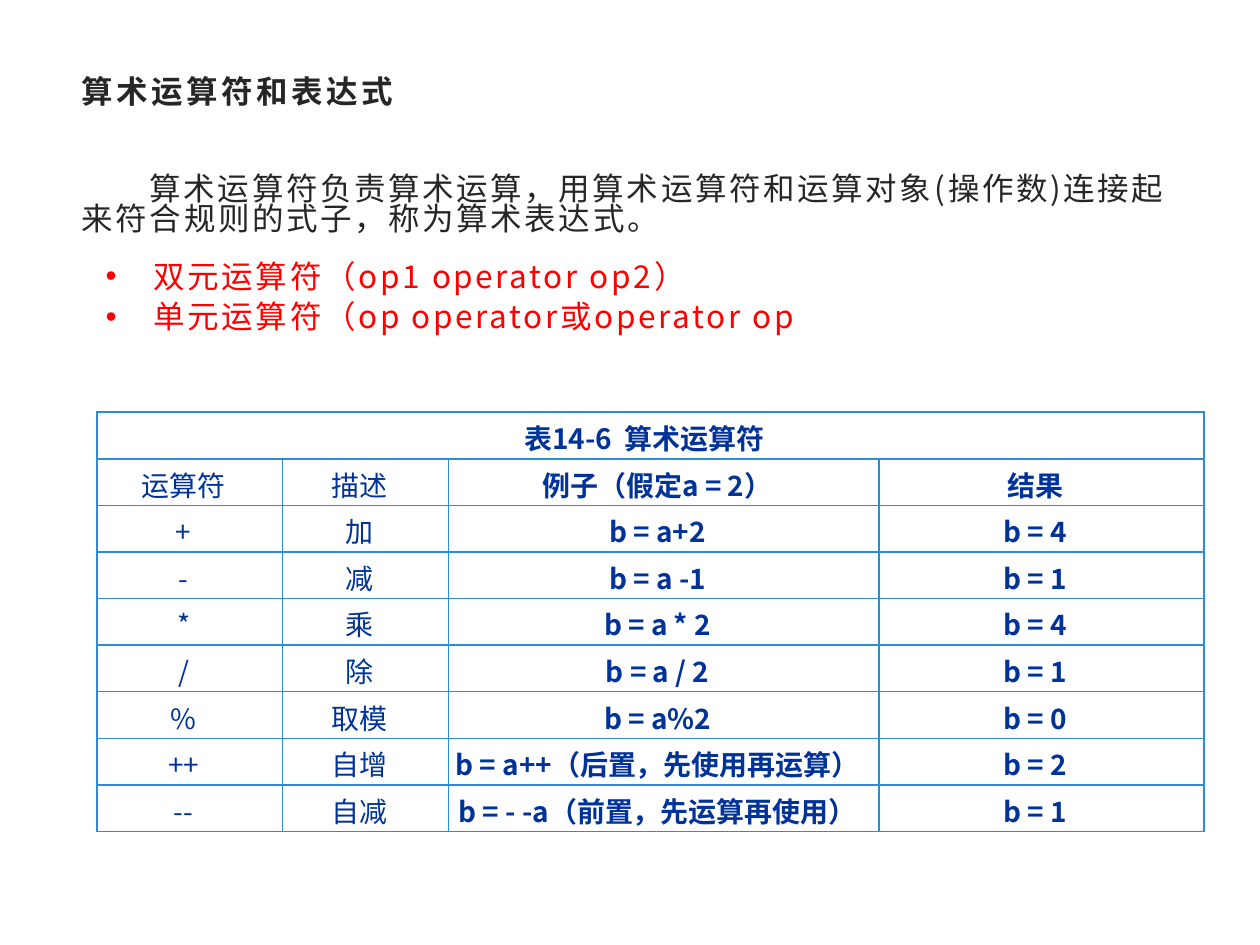
import lxml.etree
import pptx
import pptx.dml.color
import pptx.enum.text
import pptx.oxml.ns
import pptx.util
from pptx.util import Cm

FONT = "Noto Sans CJK SC"
DARK, RED, NAVY, BORDER = "262626", "FF0000", "003399", "2A8DD4"
CAPTION = "表14-6  算术运算符"
ROWS = [
    ("运算符", "描述", "例子（假定a = 2）", "结果"),
    ("+", "加", "b = a+2", "b = 4"),
    ("-", "减", "b = a -1", "b = 1"),
    ("*", "乘", "b = a * 2", "b = 4"),
    ("/", "除", "b = a / 2", "b = 1"),
    ("%", "取模", "b = a%2", "b = 0"),
    ("++", "自增", "b = a++（后置，先使用再运算）", "b = 2"),
    ("--", "自减", "b = - -a（前置，先运算再使用）", "b = 1"),
]
COLUMN_WIDTHS = (3.73, 3.35, 8.68, 6.55)
INTRODUCTION = "算术运算符负责算术运算，用算术运算符和运算对象(操作数)连接起来符合规则的式子，称为算术表达式。"
BULLETS = ["双元运算符（op1 operator op2）", "单元运算符（op operator或operator op"]


def color(value):
    return pptx.dml.color.RGBColor.from_string(value)


def add_element(parent, tag, **attributes):
    element = lxml.etree.SubElement(parent, pptx.oxml.ns.qn(tag))
    for name, value in attributes.items():
        element.set(name, str(value))
    return element


def format_runs(paragraph, size, hex_color, bold=False, spacing=0, latin=FONT):
    for run in paragraph.runs:
        run.font.size = pptx.util.Pt(size)
        run.font.bold = bold
        run.font.name = latin
        run.font.color.rgb = color(hex_color)
        properties = run._r.get_or_add_rPr()
        properties.set("spc", str(int(spacing * 100)))
        add_element(properties, "a:ea", typeface=FONT)


def set_indent(paragraph, left, first_line, bullet=None):
    properties = paragraph._p.get_or_add_pPr()
    properties.set("marL", str(Cm(left)))
    properties.set("indent", str(Cm(first_line)))
    if bullet:
        add_element(properties, "a:buFont", typeface="Arial")
        add_element(properties, "a:buChar", char=bullet)


def add_text_box(slide, left, top, width, height):
    text_frame = slide.shapes.add_textbox(Cm(left), Cm(top), Cm(width), Cm(height)).text_frame
    text_frame.word_wrap = True
    return text_frame


def add_title(slide):
    text_frame = add_text_box(slide, 1.4, 1.22, 22.6, 1.22)
    text_frame.vertical_anchor = pptx.enum.text.MSO_ANCHOR.MIDDLE
    text_frame.text = "算术运算符和表达式"
    format_runs(text_frame.paragraphs[0], 18, DARK, bold=True, spacing=2, latin="Arial")


def add_body(slide):
    text_frame = add_text_box(slide, 1.4, 3.43, 22.6, 4.52)
    text_frame.text = INTRODUCTION
    introduction = text_frame.paragraphs[0]
    introduction.line_spacing = 0.79
    introduction.space_after = pptx.util.Pt(10)
    set_indent(introduction, 0, 1.37)
    format_runs(introduction, 18, DARK, spacing=1.5)
    for text in BULLETS:
        paragraph = text_frame.add_paragraph()
        paragraph.text = text
        paragraph.line_spacing = 1.08
        set_indent(paragraph, 1.45, -0.97, "•")
        format_runs(paragraph, 18, RED, spacing=1.5)


def format_cell(cell, text, bold):
    cell.text = text
    cell.margin_left, cell.margin_right = Cm(0), Cm(0.25)
    cell.margin_top = cell.margin_bottom = Cm(0.1)
    paragraph = cell.text_frame.paragraphs[0]
    paragraph.alignment = pptx.enum.text.PP_ALIGN.CENTER
    format_runs(paragraph, 16, NAVY, bold)
    properties = cell._tc.get_or_add_tcPr()
    for side in ("a:lnL", "a:lnR", "a:lnT", "a:lnB"):
        line = add_element(properties, side, w=pptx.util.Pt(1))
        add_element(add_element(line, "a:solidFill"), "a:srgbClr", val=BORDER)
    cell.fill.background()


def add_operator_table(slide):
    row_count = len(ROWS) + 1
    table = slide.shapes.add_table(
        row_count, len(COLUMN_WIDTHS), Cm(1.96), Cm(8.31),
        Cm(sum(COLUMN_WIDTHS)), Cm(0.94 * row_count)).table
    table.first_row = table.horz_banding = False
    for column, width in zip(table.columns, COLUMN_WIDTHS):
        column.width = Cm(width)
    table.cell(0, 0).merge(table.cell(0, len(COLUMN_WIDTHS) - 1))
    for row_index, texts in enumerate([(CAPTION, "", "", "")] + ROWS):
        for column_index, text in enumerate(texts):
            bold = row_index == 0 or column_index >= 2
            format_cell(table.cell(row_index, column_index), text, bold)


def main():
    """Build the slide on arithmetic operators and save it."""
    presentation = pptx.Presentation()
    presentation.slide_width, presentation.slide_height = Cm(25.4), Cm(19.05)
    slide = presentation.slides.add_slide(presentation.slide_layouts[6])
    add_title(slide)
    add_body(slide)
    add_operator_table(slide)
    presentation.save("out.pptx")


if __name__ == "__main__":
    main()
